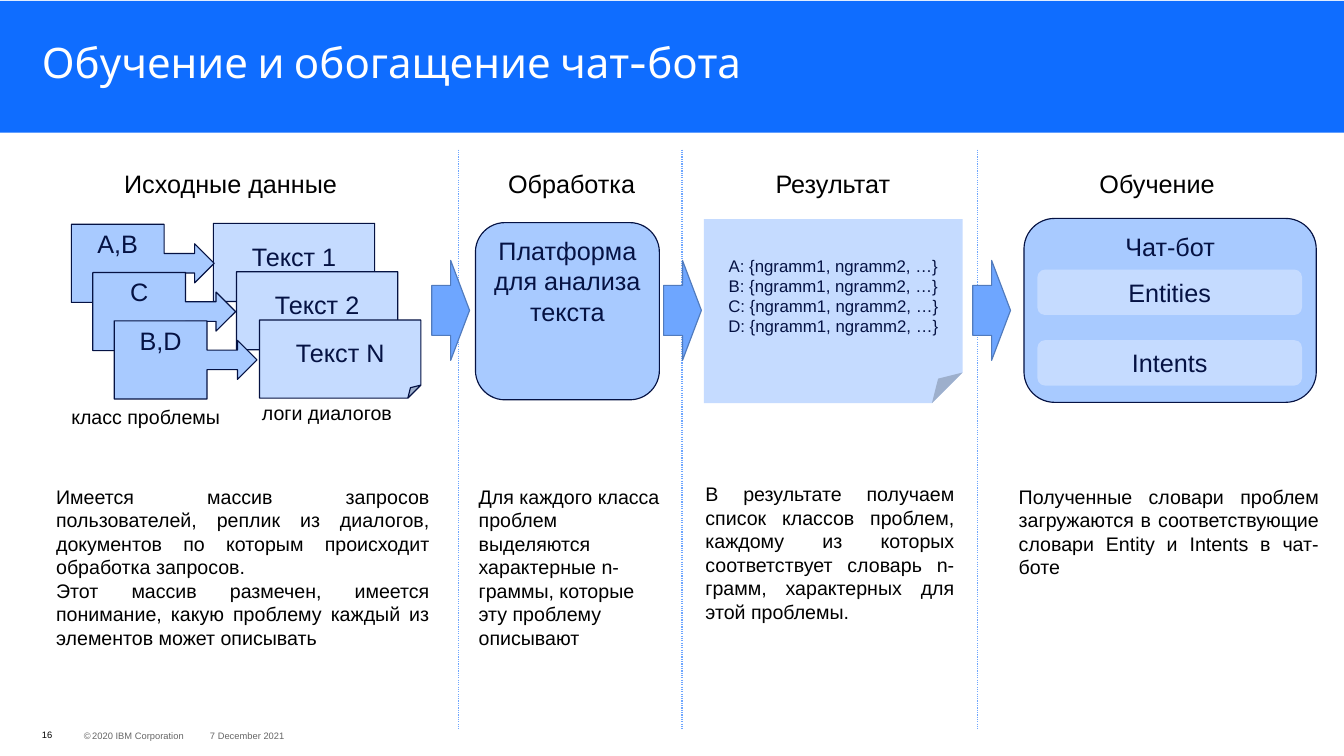
from lxml import etree
from pptx import Presentation
from pptx.dml.color import RGBColor
from pptx.enum import dml, shapes, text
from pptx.oxml.ns import qn
from pptx.util import Inches, Pt

BLUE = RGBColor(0x0F, 0x6D, 0xFF)
MID = RGBColor(0xA8, 0xCA, 0xFF)
PALE = RGBColor(0xC5, 0xDB, 0xFF)
ARROW = RGBColor(0x6E, 0xA6, 0xFF)
EDGE = RGBColor(0x51, 0x7B, 0xBD)
NAVY = RGBColor(0x05, 0x12, 0x43)
BLACK = RGBColor(0, 0, 0)
GREY = RGBColor(0x66, 0x66, 0x66)
WHITE = RGBColor(0xFF, 0xFF, 0xFF)

KIND = shapes.MSO_SHAPE
TOP, MIDDLE = text.MSO_ANCHOR.TOP, text.MSO_ANCHOR.MIDDLE
LEFT, CENTER, JUST = text.PP_ALIGN.LEFT, text.PP_ALIGN.CENTER, text.PP_ALIGN.JUSTIFY
HEAD, BODY, CODE, SMALL = 21.6, 16.8, 14.4, 8


def write(shape, words, size, color, align=LEFT, anchor=TOP, font="Arial"):
    frame = shape.text_frame
    frame.word_wrap = True
    frame.vertical_anchor = anchor
    frame.text = words
    for line in frame.paragraphs:
        line.alignment = align
        for run in line.runs:
            run.font.size = Pt(size)
            run.font.name = font
            run.font.color.rgb = color
    return frame


def label(slide, box, words, size=BODY, color=BLACK, align=LEFT, **style):
    shape = slide.shapes.add_textbox(*map(Inches, box))
    return write(shape, words, size, color, align, **style)


def flat(slide, box, words, color, size=SMALL, font="Arial"):
    """Add a middle-anchored text box without insets."""
    frame = label(slide, box, words, size, color, anchor=MIDDLE, font=font)
    frame.margin_left = frame.margin_right = 0
    frame.margin_top = frame.margin_bottom = 0
    return frame.paragraphs[0]


def block(slide, kind, box, fill, edge=None, words="", size=HEAD, anchor=MIDDLE):
    shape = slide.shapes.add_shape(kind, *map(Inches, box))
    shape.shadow.inherit = False
    shape.fill.solid()
    shape.fill.fore_color.rgb = fill
    if edge is None:
        shape.line.fill.background()
    else:
        shape.line.color.rgb = edge
        shape.line.width = Pt(1)
    if words:
        write(shape, words, size, NAVY, CENTER, anchor)


def divide(slide, x, top, bottom):
    line = slide.shapes.add_connector(
        shapes.MSO_CONNECTOR.STRAIGHT, Inches(x), Inches(top), Inches(x), Inches(bottom))
    line.line.color.rgb = ARROW
    line.line.width = Pt(1)
    line.line.dash_style = dml.MSO_LINE.ROUND_DOT
    etree.SubElement(line._element.spPr, qn("a:effectLst"))


def banner(slide, box, title):
    left, top, width, height = box
    block(slide, KIND.RECTANGLE, box, BLUE)
    area = (left + 0.5, top + 0.23, width - 0.5, 1.06)
    flat(slide, area, title, WHITE, 36, "Cabin").line_spacing = 0.9


def source(slide, box):
    """Draw the stacked texts, their classes and the captions."""
    left, top, width, height = box
    step, tall = 0.575, 0.93
    for i, name in enumerate(("Текст 1", "Текст 2", "Текст N")):
        spot = (left + 1.69 + 0.275 * i, top + step * i, 1.92, tall)
        block(slide, KIND.FOLDED_CORNER, spot, PALE, NAVY, name)
    for i, name in enumerate(("A,B", "C", "B,D")):
        spot = (left + 0.255 * i, top + 0.01 + step * i, 1.7, tall)
        block(slide, KIND.RIGHT_ARROW_CALLOUT, spot, MID, NAVY, name, anchor=TOP)
    base = top + height
    label(slide, (left - 0.1, base + 0.03, 1.98, 0.38), "класс проблемы")
    label(slide, (left + 2.17, base - 0.02, 1.86, 0.38), "логи диалогов")


def engine(slide, box):
    block(slide, KIND.ROUNDED_RECTANGLE, box, MID, NAVY,
          "Платформа для анализа текста", anchor=TOP)


def result(slide, box):
    rows = "\n".join(f"{key}: {{ngramm1, ngramm2, …}}" for key in "АBCD")
    block(slide, KIND.FOLDED_CORNER, box, PALE, words=rows, size=CODE)


def bot(slide, box):
    left, top, width, height = box
    block(slide, KIND.ROUNDED_RECTANGLE, box, MID, NAVY, "Чат-бот", anchor=TOP)
    for i, name in enumerate(("Entities", "Intents")):
        spot = (left + 0.16, top + 0.61 + 0.84 * i, width - 0.33, 0.54)
        block(slide, KIND.ROUNDED_RECTANGLE, spot, PALE, words=name)


def footer(slide, box):
    left, top, width, height = box
    flat(slide, (left, top - 0.01, 0.36, height), "16", BLACK)
    mark = flat(slide, (left + 0.5, top, 1.4, height), "©", GREY)
    for part, size in ((" ", 4), ("2020 IBM Corporation", SMALL)):
        run = mark.add_run()
        run.text = part
        run.font.size = Pt(size)
        run.font.name = "Arial"
        run.font.color.rgb = GREY
    flat(slide, (left + 2, top, 1.5, height), "7 December 2021", GREY)


# Each stage: title, title box, drawing, drawing box, note, note box, note alignment
STAGES = (
    ("Исходные данные", (0.93, 1.95, 3.63, 0.46), source, (0.85, 2.66, 4.16, 2.08),
     "Имеется массив запросов пользователей, реплик из диалогов, документов "
     "по которым происходит обработка запросов.\n"
     "Этот массив размечен, имеется понимание, какую проблему каждый "
     "из элементов может описывать",
     (0.57, 5.72, 4.64, 2.08), JUST),
    ("Обработка", (5.6, 1.96, 2.41, 0.46), engine, (5.66, 2.65, 2.19, 2.11),
     "Для каждого класса проблем выделяются характерные n-граммы, "
     "которые эту проблему описывают",
     (5.6, 5.72, 2.42, 2.08), LEFT),
    ("Результат", (8.1, 1.95, 3.63, 0.46), result, (8.38, 2.61, 3.08, 2.19),
     "В результате получаем список классов проблем, каждому из которых "
     "соответствует словарь n-грамм, характерных для этой проблемы.",
     (8.3, 5.69, 3.16, 1.8), JUST),
    ("Обучение", (11.96, 1.96, 3.63, 0.46), bot, (12.19, 2.6, 3.48, 2.19),
     "Полученные словари проблем загружаются в соответствующие словари "
     "Entity и Intents в чат-боте",
     (12.03, 5.72, 3.77, 1.23), JUST),
)


def main():
    deck = Presentation()
    deck.slide_width, deck.slide_height = Inches(16), Inches(9)
    slide = deck.slides.add_slide(deck.slide_layouts[6])
    banner(slide, (0, 0.01, 16, 1.57), "Обучение и обогащение чат-бота")
    for x in (5.46, 8.12, 11.64):
        divide(slide, x, 1.78, 8.69)
    for title, head, draw, box, note, area, align in STAGES:
        label(slide, head, title, HEAD, align=CENTER)
        draw(slide, box)
        label(slide, area, note, align=align)
    for x in (5.14, 7.9, 11.58):
        block(slide, KIND.RIGHT_ARROW, (x, 3.1, 0.45, 1.19), ARROW, EDGE)
    footer(slide, (0.5, 8.64, 3.5, 0.24))
    deck.save("out.pptx")


if __name__ == "__main__":
    main()
